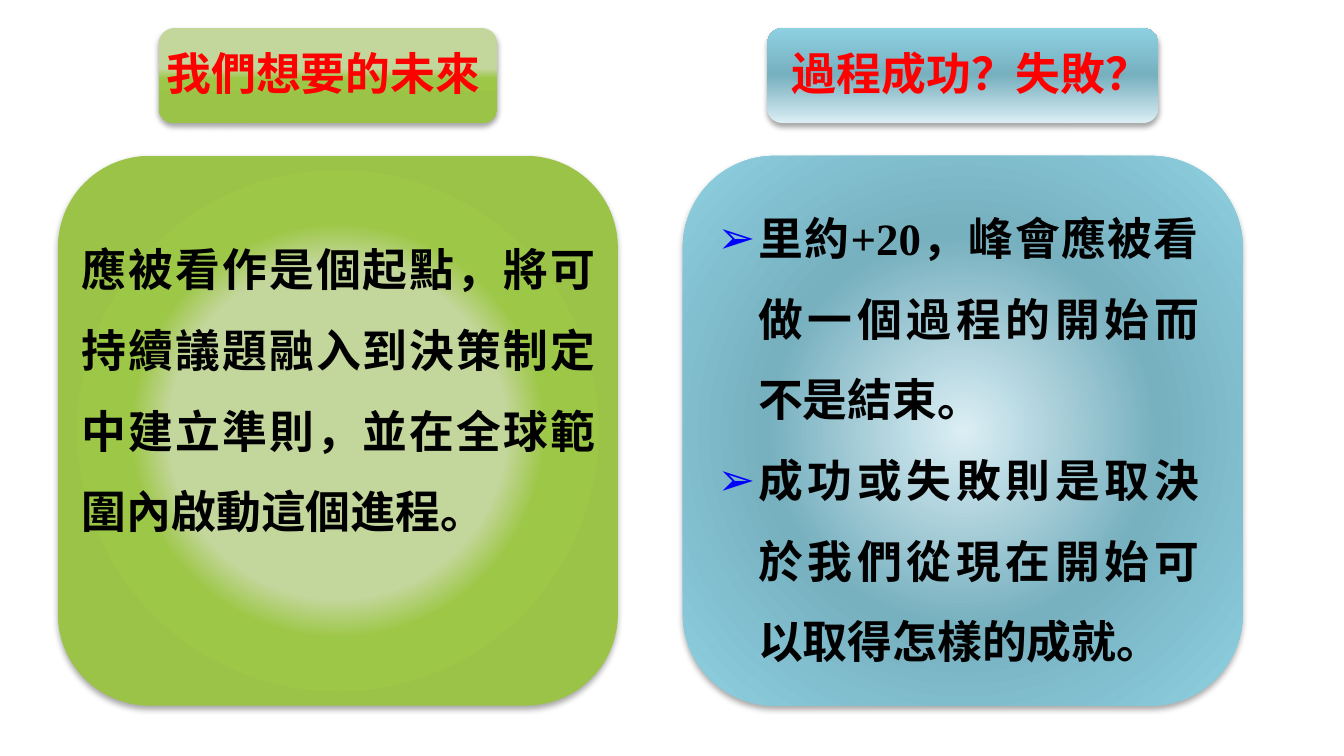
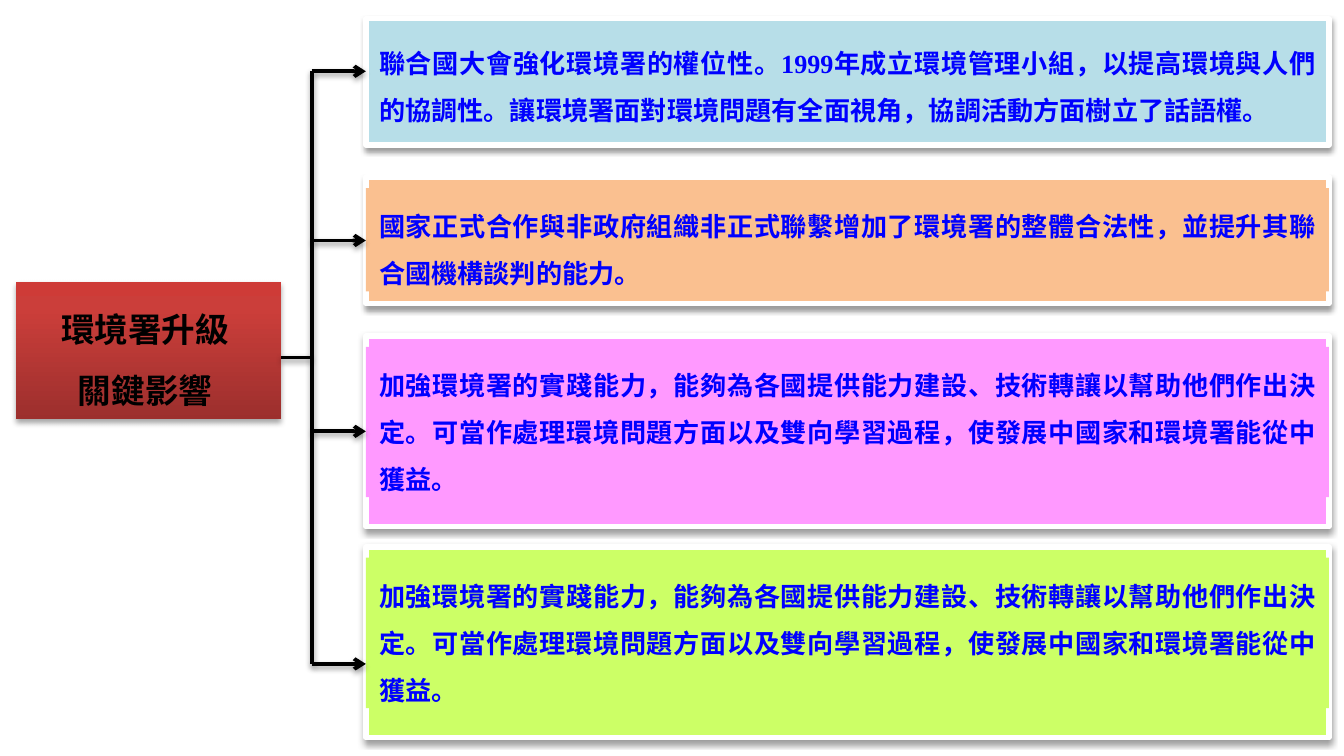
from lxml import etree
from pptx import Presentation
from pptx.dml.color import RGBColor
from pptx.enum.shapes import MSO_CONNECTOR, MSO_SHAPE
from pptx.enum.text import MSO_ANCHOR, MSO_AUTO_SIZE, PP_ALIGN
from pptx.oxml import parse_xml
from pptx.oxml.ns import nsdecls, qn
from pptx.util import Pt

LEFT, CENTER, JUSTIFY = PP_ALIGN.LEFT, PP_ALIGN.CENTER, PP_ALIGN.JUSTIFY
TOP = MSO_ANCHOR.TOP
GROW = MSO_AUTO_SIZE.SHAPE_TO_FIT_TEXT
RECT, ROUNDED = MSO_SHAPE.RECTANGLE, MSO_SHAPE.ROUNDED_RECTANGLE
STRAIGHT = MSO_CONNECTOR.STRAIGHT

FONT = "Times New Roman"
BLACK, WHITE, RED, BLUE = "000000", "FFFFFF", "FF0000", "0000FF"
DOWN, UP = '<a:lin ang="5400000" scaled="0"/>', '<a:lin ang="16200000" scaled="0"/>'
RADIAL = ('<a:path path="circle"><a:fillToRect l="50000" t="50000" '
          'r="50000" b="50000"/></a:path>')


def finish(shape, opacity, distance, stops=(), direction=""):
    properties = shape.element.spPr
    if stops:
        shape.line.fill.background()
        marks = "".join(f'<a:gs pos="{at * 1000}"><a:srgbClr val="{tone}"/></a:gs>'
                        for at, tone in stops)
        properties.find(qn("a:ln")).addprevious(parse_xml(
            f'<a:gradFill {nsdecls("a")} rotWithShape="1">'
            f'<a:gsLst>{marks}</a:gsLst>{direction}</a:gradFill>'))
    for earlier in properties.findall(qn("a:effectLst")):
        properties.remove(earlier)
    properties.append(parse_xml(
        f'<a:effectLst {nsdecls("a")}><a:outerShdw blurRad="{Pt(3.1)}" '
        f'dist="{Pt(distance)}" dir="5400000" rotWithShape="0"><a:srgbClr val="{BLACK}">'
        f'<a:alpha val="{opacity * 1000}"/></a:srgbClr></a:outerShdw></a:effectLst>'))


def write(box, place, text, size, tone, align, spacing, wrap=True):
    box.left, box.top, box.width, box.height = [Pt(length) for length in place]
    frame = box.text_frame
    frame.text = text
    frame.word_wrap = wrap
    frame.auto_size = GROW
    frame.vertical_anchor = TOP
    for paragraph in frame.paragraphs:
        paragraph.alignment = align
        paragraph.line_spacing = spacing
        paragraph.space_before = Pt(0)
        for run in paragraph.runs:
            run.font.name = FONT
            run.font.size = Pt(size)
            run.font.bold = True
            run.font.color.rgb = RGBColor.from_string(tone)


deck = Presentation()
deck.slide_width, deck.slide_height = Pt(720), Pt(405)

future = deck.slides.add_slide(deck.slide_layouts[4])
future.shapes.title.element.getparent().remove(future.shapes.title.element)
slots = {slot.placeholder_format.idx: slot for slot in future.placeholders}

green = [(43, "C3D69B"), (53, "9DC746"), (80, "9BC348")]
teal = [(0, "DBEEF4"), (50, "77B0BF"), (100, "8DD0E2")]
columns = [
    (green, DOWN, (85, 181.5), 82, 31, (36.7, 111.6, 289.4, 181.4),
     "我們想要的未來",
     "應被看作是個起點，將可持續議題融入到決策制定中建立準則，並在全球範圍內啟動這個進程。"),
    (teal, UP, (411, 209.5), 417, 365.8, (377.3, 95, 272.2, 269.3),
     "過程成功？失敗？",
     "里約+20，峰會應被看做一個過程的開始而不是結束。\n"
     "成功或失敗則是取決於我們從現在開始可以取得怎樣的成就。"),
]
for number, (stops, direction, (tab_left, tab_width), heading_left, panel_left,
             body_place, heading, body) in enumerate(columns):
    tab = future.shapes.add_shape(ROUNDED, Pt(tab_left), Pt(15), Pt(tab_width), Pt(51))
    finish(tab, 35, 1.8, stops, direction)
    panel = future.shapes.add_shape(ROUNDED, Pt(panel_left), Pt(83.5), Pt(300), Pt(294.5))
    finish(panel, 35, 1.8, stops, RADIAL)
    heading_slot, body_slot = slots[2 * number + 1], slots[2 * number + 2]
    write(heading_slot, (heading_left, 21, 204, 36), heading, 24, RED, LEFT, 1)
    write(body_slot, body_place, body, 24, BLACK, JUSTIFY, 1.5)
    for slot in (heading_slot, body_slot):
        future.shapes.element.append(slot.element)

for paragraph in slots[2].text_frame.paragraphs:
    settings = paragraph._p.get_or_add_pPr()
    settings.set("marL", "0")
    settings.set("indent", "0")
    etree.SubElement(settings, qn("a:buNone"))
for paragraph in slots[4].text_frame.paragraphs:
    settings = paragraph._p.get_or_add_pPr()
    settings.set("marL", str(Pt(21.6)))
    settings.set("indent", str(-Pt(21.6)))
    bullet_colour = etree.SubElement(settings, qn("a:buClr"))
    etree.SubElement(bullet_colour, qn("a:srgbClr")).set("val", BLUE)
    etree.SubElement(settings, qn("a:buChar")).set("char", "➢")

impacts = deck.slides.add_slide(deck.slide_layouts[5])
cause = impacts.shapes.add_shape(RECT, Pt(8.6), Pt(151.2), Pt(142), Pt(73.5))
finish(cause, 35, 1.8, [(0, "9C2F2D"), (80, "CB3E3A"), (100, "CE3B37")], UP)
topic = impacts.shapes.title
write(topic, (25.2, 151.2, 105, 72.7), "環境署升級\n關鍵影響", 18, BLACK, CENTER, 1.5, False)
impacts.shapes.element.append(topic.element)

CARD_LEFT, CARD_WIDTH, TRUNK = 196, 516, 167
capacity = ("加強環境署的實踐能力，能夠為各國提供能力建設、技術轉讓以幫助他們作出決定。"
            "可當作處理環境問題方面以及雙向學習過程，使發展中國家和環境署能從中獲益。")
effects = [
    (10, 67.7, 13.7, 55.4, 38.2, "B7DEE8",
     "聯合國大會強化環境署的權位性。1999年成立環境管理小組，以提高環境與人們的協調性。"
     "讓環境署面對環境問題有全面視角，協調活動方面樹立了話語權。"),
    (95, 67.7, 100.8, 55.4, 128.85, "FAC090",
     "國家正式合作與非政府組織非正式聯繫增加了環境署的整體合法性，並提升其聯合國機構談判的能力。"),
    (180, 102.2, 185.8, 80.6, 231.1, "FF99FF", capacity),
    (293, 102.2, 298.8, 80.6, 355.7, "CCFF66", capacity),
]
branches = [(150.6, 191.5, TRUNK, 191.5, None),
            (TRUNK, effects[0][4], TRUNK, effects[-1][4], None)]
for top, height, text_top, text_height, arrow_y, tone, text in effects:
    card = impacts.shapes.add_shape(RECT, Pt(CARD_LEFT), Pt(top), Pt(CARD_WIDTH), Pt(height))
    card.fill.solid()
    card.fill.fore_color.rgb = RGBColor.from_string(tone)
    card.line.color.rgb = RGBColor.from_string(WHITE)
    card.line.width = Pt(3)
    finish(card, 38, 1.6)
    statement = impacts.shapes.add_textbox(0, 0, 0, 0)
    write(statement, (CARD_LEFT, text_top, CARD_WIDTH, text_height),
          text, 14, BLUE, JUSTIFY, 1.5)
    if text != effects[0][-1]:
        statement.fill.solid()
        statement.fill.fore_color.rgb = RGBColor.from_string(tone)
    branches.append((TRUNK, arrow_y, CARD_LEFT, arrow_y, card))

for start_x, start_y, end_x, end_y, card in branches:
    branch = impacts.shapes.add_connector(
        STRAIGHT, Pt(start_x), Pt(start_y), Pt(end_x), Pt(end_y))
    branch.line.color.rgb = RGBColor.from_string(BLACK)
    branch.line.width = Pt(2)
    if card:
        etree.SubElement(branch.line._get_or_add_ln(), qn("a:tailEnd")).set("type", "arrow")
        if abs(card.top + card.height / 2 - Pt(end_y)) < Pt(1):
            branch.end_connect(card, 1)
    finish(branch, 38, 1.6)

deck.save("out.pptx")
